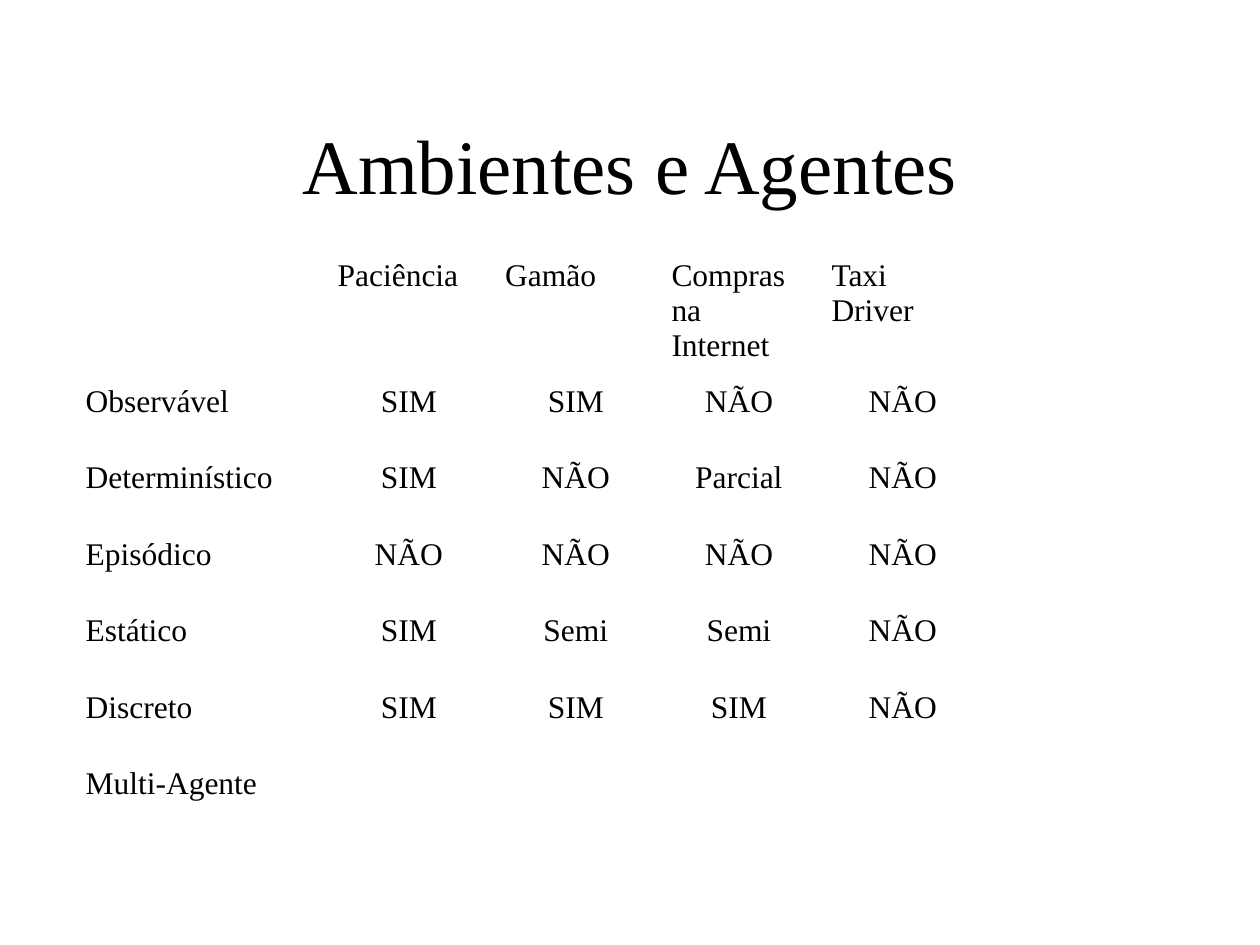
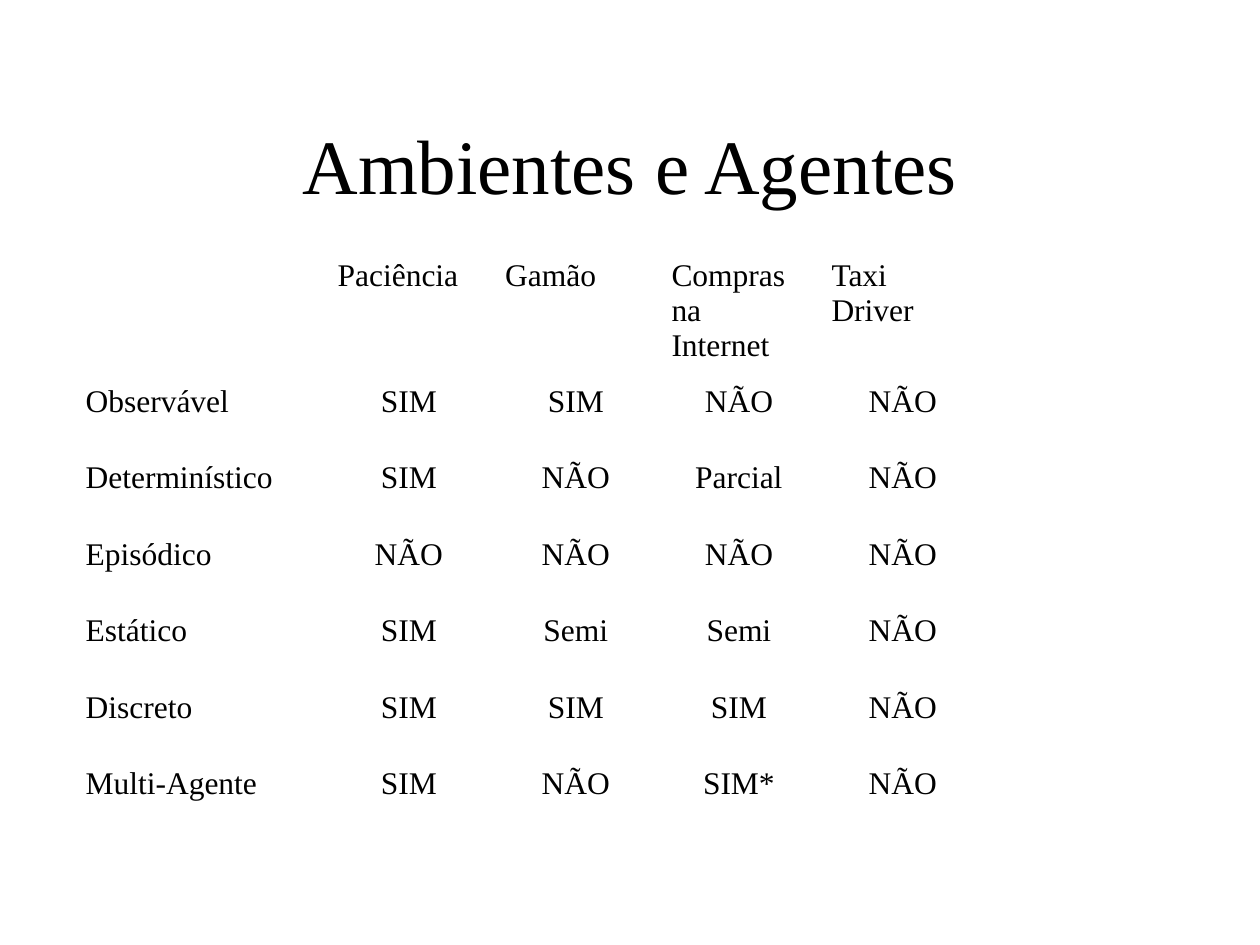
from dataclasses import dataclass

from pptx import Presentation
from pptx import util as u
from pptx.dml import color
from pptx.enum import text


@dataclass(frozen=True)
class Theme:
    font: str = "Times New Roman"
    ink: color.RGBColor = color.RGBColor(0, 0, 0)
    paper: color.RGBColor = color.RGBColor(255, 255, 255)
    title_size: u.Pt = u.Pt(44)
    table_size: u.Pt = u.Pt(18)
    space_before: u.Pt = u.Pt(4.5)


TITLE = "Ambientes e Agentes"
HEADER = ["", "Paciência", "Gamão", "Compras na Internet", "Taxi Driver"]
PROPERTIES = [
    ["Observável", "SIM", "SIM", "NÃO", "NÃO"],
    ["Determinístico", "SIM", "NÃO", "Parcial", "NÃO"],
    ["Episódico", "NÃO", "NÃO", "NÃO", "NÃO"],
    ["Estático", "SIM", "Semi", "Semi", "NÃO"],
    ["Discreto", "SIM", "SIM", "SIM", "NÃO"],
]
MULTI_AGENT = "Multi-Agente"
MULTI_AGENT_ANSWERS = [["", "", "", ""], ["SIM", "NÃO", "SIM*", "NÃO"]]
COLUMN_WIDTHS = [2, 1.33, 1.32, 1.27, 1.33]
HEADER_HEIGHT = 1
TABLE_HEIGHT = 4.64


class Deck:
    def __init__(self, theme):
        self.theme = theme
        self.prs = Presentation()
        self.prs.slide_width = u.Inches(10)
        self.prs.slide_height = u.Inches(7.5)
        self.slide = None

    def add_slide(self):
        self.slide = self.prs.slides.add_slide(self.prs.slide_layouts[6])
        fill = self.slide.background.fill
        fill.solid()
        fill.fore_color.rgb = self.theme.paper

    def paragraph(self, p, content, size, align):
        p.text = content
        p.alignment = align
        p.font.name = self.theme.font
        p.font.size = size
        p.font.color.rgb = self.theme.ink

    def title(self, content):
        sp = self.slide.shapes.add_textbox(
            u.Inches(0.75), u.Inches(0.67), u.Inches(8.5), u.Inches(1.25))
        tf = sp.text_frame
        tf.word_wrap = True
        tf.vertical_anchor = text.MSO_ANCHOR.MIDDLE
        self.paragraph(tf.paragraphs[0], content, self.theme.title_size,
                       text.PP_ALIGN.CENTER)

    def table(self, rows):
        table = self.slide.shapes.add_table(
            len(rows), len(COLUMN_WIDTHS), u.Inches(0.58), u.Inches(2),
            u.Inches(sum(COLUMN_WIDTHS)), u.Inches(TABLE_HEIGHT)).table
        table.first_row = False
        table.horz_banding = False
        for column, width in zip(table.columns, COLUMN_WIDTHS):
            column.width = u.Inches(width)
        body_height = (TABLE_HEIGHT - HEADER_HEIGHT) / (len(rows) - 1)
        for i, values in enumerate(rows):
            table.rows[i].height = u.Inches(body_height if i else HEADER_HEIGHT)
            for j, value in enumerate(values):
                is_answer = i > 0 and j > 0
                self.cell(table.cell(i, j), value, is_answer)

    def cell(self, cell, value, is_answer):
        cell.fill.background()
        p = cell.text_frame.paragraphs[0]
        p.space_before = self.theme.space_before
        align = text.PP_ALIGN.CENTER if is_answer else text.PP_ALIGN.LEFT
        self.paragraph(p, value, self.theme.table_size, align)


def main():
    deck = Deck(Theme())
    for answers in MULTI_AGENT_ANSWERS:
        deck.add_slide()
        deck.title(TITLE)
        deck.table([HEADER, *PROPERTIES, [MULTI_AGENT, *answers]])
    deck.prs.save("out.pptx")


if __name__ == "__main__":
    main()
